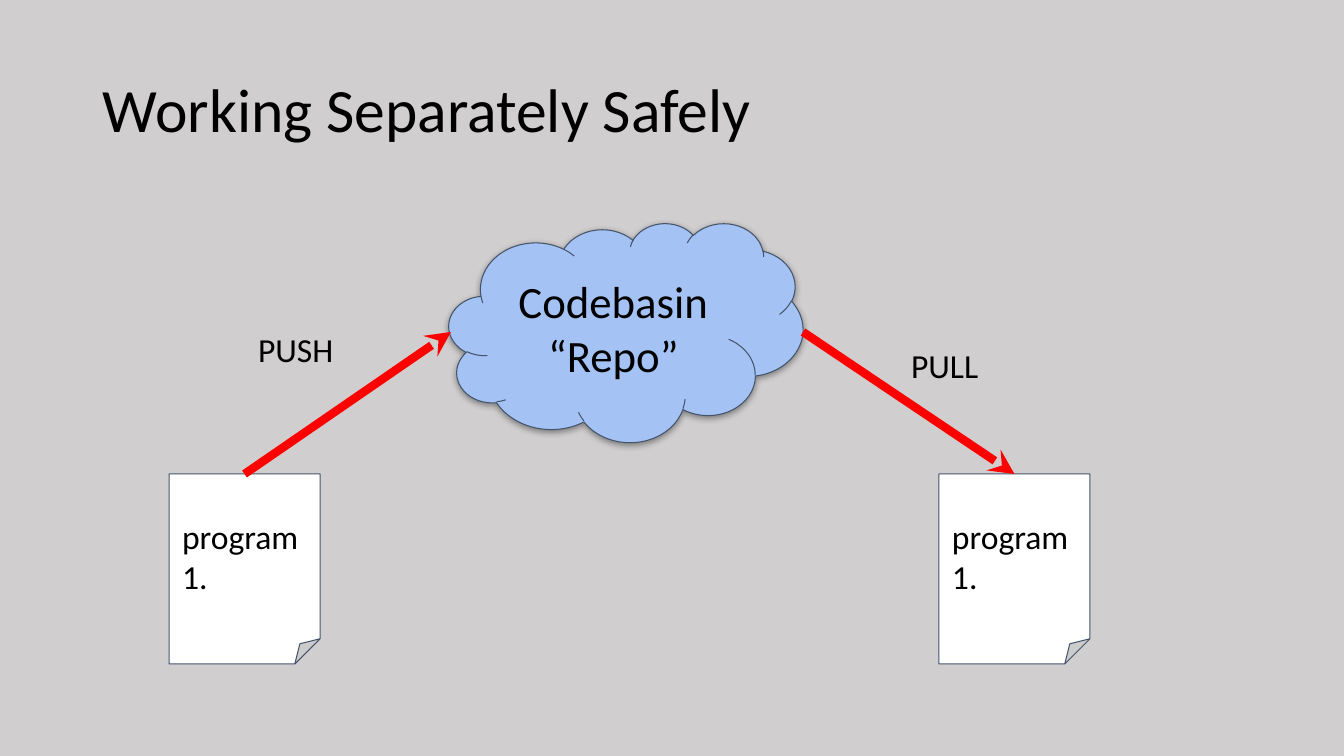
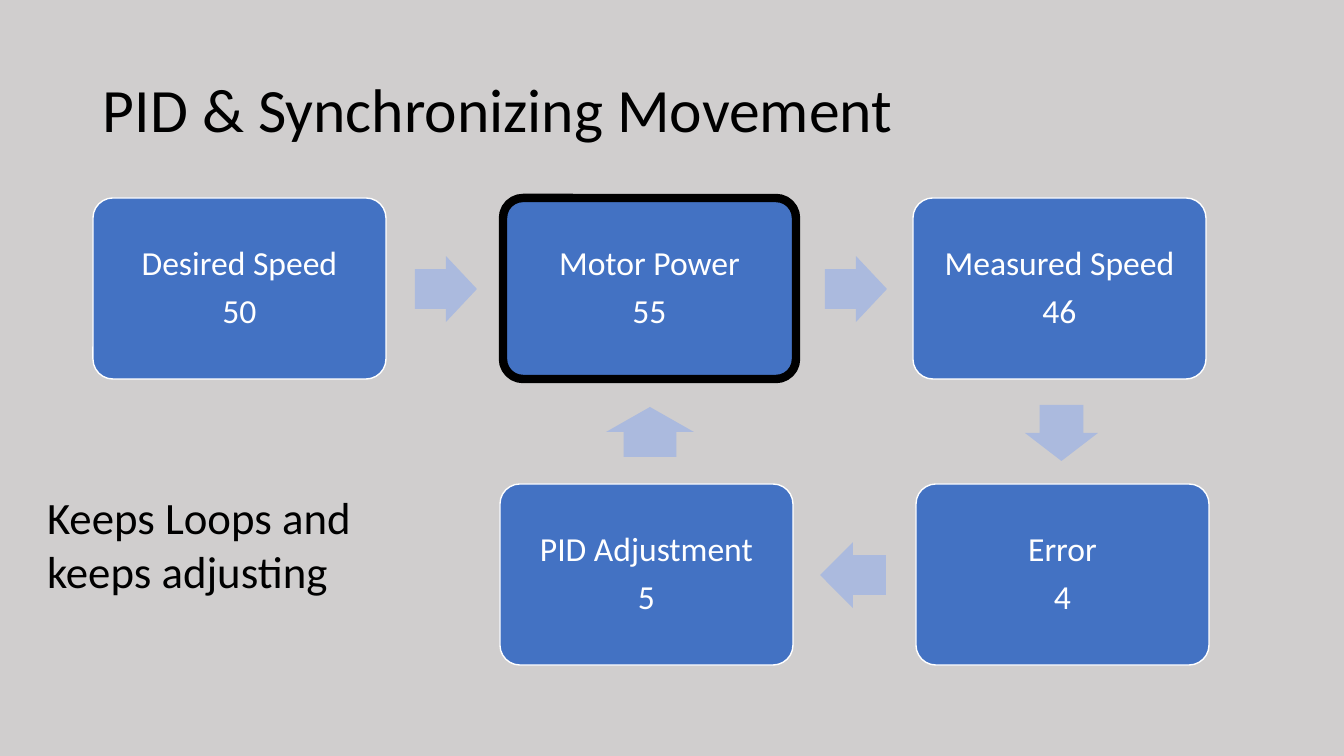
from lxml import etree
from pptx import Presentation
from pptx.dml.color import RGBColor
from pptx.enum.shapes import MSO_CONNECTOR, MSO_SHAPE
from pptx.enum.text import MSO_ANCHOR, MSO_AUTO_SIZE, PP_ALIGN
from pptx.oxml.ns import qn
from pptx.util import Emu, Pt

LEFT, CENTER = PP_ALIGN.LEFT, PP_ALIGN.CENTER
TOP, MIDDLE = MSO_ANCHOR.TOP, MSO_ANCHOR.MIDDLE
NO_AUTOFIT = MSO_AUTO_SIZE.NONE
STRAIGHT = MSO_CONNECTOR.STRAIGHT
CLOUD, PAGE, ROUNDED = MSO_SHAPE.CLOUD, MSO_SHAPE.FOLDED_CORNER, MSO_SHAPE.ROUNDED_RECTANGLE
RIGHT_ARROW, LEFT_ARROW = MSO_SHAPE.RIGHT_ARROW, MSO_SHAPE.LEFT_ARROW
UP_ARROW, DOWN_ARROW = MSO_SHAPE.UP_ARROW, MSO_SHAPE.DOWN_ARROW

GRAY = RGBColor(0xD0, 0xCE, 0xCE)
BLACK = RGBColor(0, 0, 0)
WHITE = RGBColor(0xFF, 0xFF, 0xFF)
SKY = RGBColor(0xA4, 0xC2, 0xF4)
SLATE = RGBColor(0x44, 0x54, 0x6A)
RED = RGBColor(0xFF, 0, 0)
BLUE = RGBColor(0x43, 0x72, 0xC3)
PALE_BLUE = RGBColor(0xAB, 0xBA, 0xDE)

FONT = "Calibri"
SLIDE_W, SLIDE_H = 1344, 756
TITLE_BOX = (93, 40, 1159, 146)
INSET = 13
TOP_SITE = 0


def px(length):
    return Emu(round(length * 12192000 / SLIDE_W))


def place(shape, left, top, width, height):
    shape.left, shape.top = px(left), px(top)
    shape.width, shape.height = px(width), px(height)


def write_text(shape, lines, size=24, color=BLACK, align=LEFT, anchor=TOP,
               inset=INSET, line_spacing=None, gap=0):
    """Fill a shape with one paragraph per line, gap points apart."""
    frame = shape.text_frame
    frame.word_wrap = True
    frame.auto_size = NO_AUTOFIT
    frame.vertical_anchor = anchor
    frame.margin_left = frame.margin_right = px(inset)
    frame.margin_top = frame.margin_bottom = px(inset)
    for index, line in enumerate(lines):
        paragraph = frame.paragraphs[0] if index == 0 else frame.add_paragraph()
        paragraph.text = line
        paragraph.alignment = align
        paragraph.space_before = Pt(gap if index else 0)
        if line_spacing:
            paragraph.line_spacing = line_spacing
        paragraph.font.name = FONT
        paragraph.font.size = Pt(size)
        paragraph.font.color.rgb = color


def add_label(slide, lines, box, **text_format):
    label = slide.shapes.add_textbox(*map(px, box))
    write_text(label, lines, **text_format)


def add_figure(slide, preset, box, fill, line=None, line_width=0.75):
    figure = slide.shapes.add_shape(preset, *map(px, box))
    figure.shadow.inherit = False
    figure.fill.solid()
    figure.fill.fore_color.rgb = fill
    if line is None:
        figure.line.fill.background()
    else:
        figure.line.color.rgb = line
        figure.line.width = Pt(line_width)
    return figure


def add_soft_shadow(shape):
    effects = shape._element.spPr.find(qn("a:effectLst"))
    shadow = etree.SubElement(effects, qn("a:outerShdw"), blurRad=str(Pt(4.5)),
                              dist=str(Pt(1.5)), dir="5400000", rotWithShape="0")
    color = etree.SubElement(shadow, qn("a:srgbClr"), val=str(BLACK))
    etree.SubElement(color, qn("a:alpha"), val="40000")


def add_flow_arrow(slide, start, end):
    arrow = slide.shapes.add_connector(STRAIGHT, *map(px, start + end))
    arrow.line.color.rgb = RED
    arrow.line.width = Pt(6)
    etree.SubElement(arrow.line._get_or_add_ln(), qn("a:tailEnd"), type="stealth")
    etree.SubElement(arrow._element.spPr, qn("a:effectLst"))
    return arrow


def add_titled_slide(deck, title):
    slide = deck.slides.add_slide(deck.slide_layouts[5])
    place(slide.shapes.title, *TITLE_BOX)
    write_text(slide.shapes.title, [title], size=44, anchor=MIDDLE,
               inset=10, line_spacing=0.9)
    return slide


def add_program_page(slide, left, top):
    page = add_figure(slide, PAGE, (left, top, 151, 190), WHITE, SLATE)
    write_text(page, ["program1."], anchor=MIDDLE)
    return page


def draw_repo_exchange(slide, left, top, width, height):
    """Two program pages at the bottom corners exchange code through the cloud."""
    cloud_left, cloud_w, cloud_h = left + 280, 354, 219
    cloud_middle = top + cloud_h // 2
    page_w, page_h = 151, 190
    page_top = top + height - page_h

    cloud = add_figure(slide, CLOUD, (cloud_left, top, cloud_w, cloud_h), SKY, SLATE)
    add_soft_shadow(cloud)
    write_text(cloud, ["Codebasin", "“Repo”"], size=32, align=CENTER, anchor=MIDDLE)

    sender = add_program_page(slide, left, page_top)
    receiver = add_program_page(slide, left + width - page_w, page_top)

    push = add_flow_arrow(slide, (left + page_w // 2, page_top),
                          (cloud_left + 2, cloud_middle))
    push.begin_connect(sender, TOP_SITE)
    pull = add_flow_arrow(slide, (cloud_left + cloud_w, cloud_middle),
                          (left + width - page_w // 2, page_top))
    pull.end_connect(receiver, TOP_SITE)

    add_label(slide, ["PUSH"], (left + 76, top + 93, 151, 126))
    add_label(slide, ["PULL"], (left + 729, top + 109, 151, 126))


def draw_pid_loop(slide, left, top):
    step_w, step_h, lower = 293, 181, 286
    steps = [
        ("Desired Speed", "50", 0, 0),
        ("Motor Power", "55", 410, 0),
        ("Measured Speed", "46", 820, 0),
        ("Error", "4", 823, lower),
        ("PID Adjustment", "5", 407, lower),
    ]
    arrows = [
        (RIGHT_ARROW, 322, 58, 62, 66),
        (RIGHT_ARROW, 732, 58, 62, 66),
        (DOWN_ARROW, 932, 207, 73, 56),
        (LEFT_ARROW, 727, 344, 66, 66),
        (UP_ARROW, 513, 209, 88, 50),
    ]
    for name, value, dx, dy in steps:
        line, line_width = (BLACK, 6) if name == "Motor Power" else (WHITE, 1)
        step = add_figure(slide, ROUNDED, (left + dx, top + dy, step_w, step_h),
                          BLUE, line, line_width)
        step.adjustments[0] = 0.11
        write_text(step, [name, value], color=WHITE, align=CENTER, anchor=MIDDLE,
                   inset=10, line_spacing=0.9, gap=8.4)
    for preset, dx, dy, width, height in arrows:
        arrow = add_figure(slide, preset, (left + dx, top + dy, width, height), PALE_BLUE)
        arrow.adjustments[0] = 0.6
        arrow.adjustments[1] = 0.5


def main():
    deck = Presentation()
    deck.slide_width, deck.slide_height = px(SLIDE_W), px(SLIDE_H)
    background = deck.slide_master.background.fill
    background.solid()
    background.fore_color.rgb = GRAY

    sharing = add_titled_slide(deck, "Working Separately Safely")
    draw_repo_exchange(sharing, 169, 223, 921, 441)

    control = add_titled_slide(deck, "PID & Synchronizing Movement")
    draw_pid_loop(control, 93, 198)
    add_label(control, ["Keeps Loops and", "keeps adjusting"],
              (34, 477, 400, 126), size=32)

    deck.save("out.pptx")


if __name__ == "__main__":
    main()
